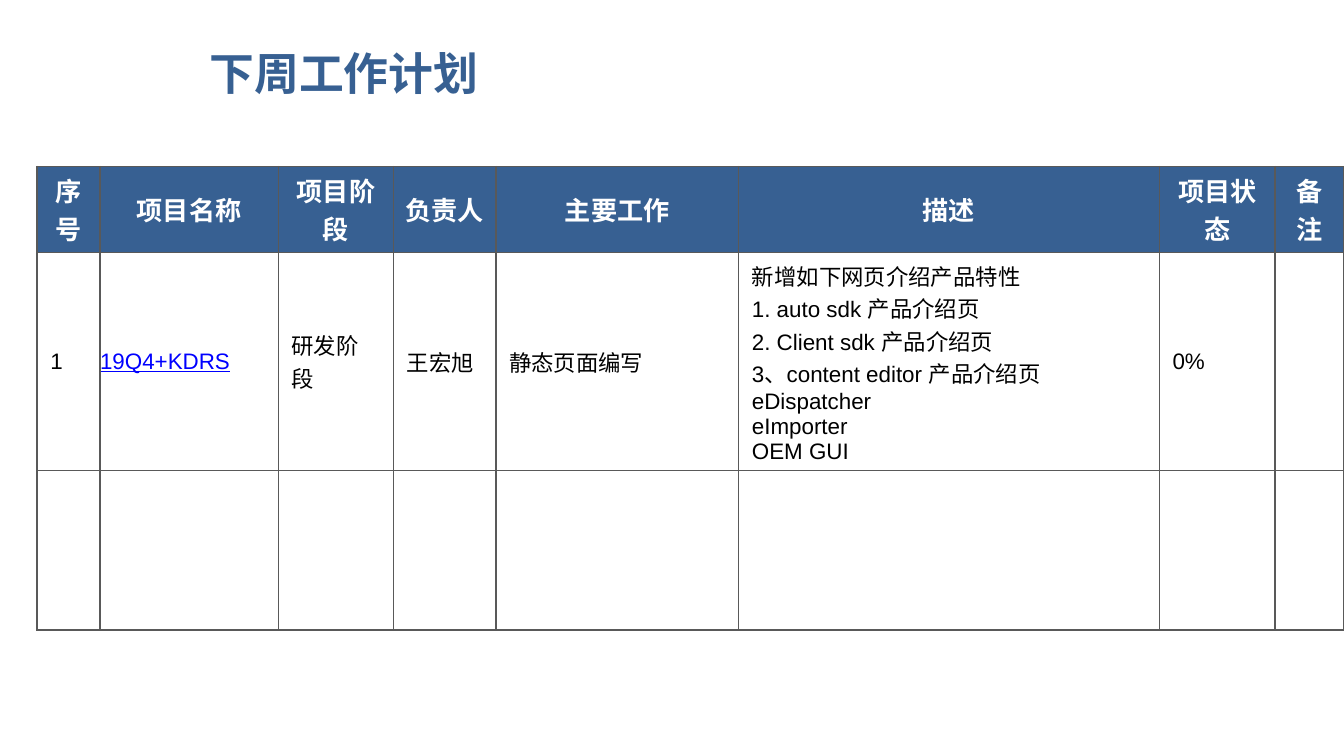
"""Build the weekly work plan slide with its project table."""
import pptx
import pptx.dml.color
import pptx.enum.text
import pptx.oxml.ns
import pptx.util
from lxml import etree

Cm = pptx.util.Cm
Pt = pptx.util.Pt
RGB = pptx.dml.color.RGBColor.from_string
ANCHOR = pptx.enum.text.MSO_ANCHOR
ALIGN = pptx.enum.text.PP_ALIGN
qn = pptx.oxml.ns.qn

THEME = {
    "blue": "376092", "white": "FFFFFF", "black": "000000",
    "link": "0000FF", "border": "595959",
    "latin": "Arial", "cjk": "Noto Sans CJK SC",
    "title": 24, "header": 14, "body": 12, "line": 1,
}

TITLE = "下周工作计划"
COLUMNS = [
    ("序号", 1.19), ("项目名称", 3.37), ("项目阶段", 2.18), ("负责人", 1.93),
    ("主要工作", 4.59), ("描述", 7.95), ("项目状态", 2.19), ("备注", 1.3),
]
DESCRIPTION = [
    "新增如下网页介绍产品特性",
    "1. auto sdk 产品介绍页",
    "2. Client sdk 产品介绍页",
    "3、content editor 产品介绍页",
    "eDispatcher",
    "eImporter",
    "OEM GUI",
]
PROJECTS = [
    [["1"], ["19Q4+KDRS"], ["研发阶段"], ["王宏旭"], ["静态页面编写"], DESCRIPTION, ["0%"], []],
    [[] for _ in COLUMNS],
]
ROW_HEIGHTS = [1.62, 4.12, 3.02]
TABLE_LEFT, TABLE_TOP = 0.7, 3.15
NAME_COLUMN = 1
HEADER_INSETS, BODY_INSETS, NAME_INSETS = (0.18, 0.08), (0.25, 0.13), (0, 0)


def add_lines(tf, lines, size, color, latin, bold=False, underline=False, align=ALIGN.LEFT):
    for i, line in enumerate(lines):
        p = tf.paragraphs[0] if i == 0 else tf.add_paragraph()
        p.alignment = align
        r = p.add_run()
        r.text = line
        r.font.size = Pt(size)
        r.font.name = latin
        r.font.bold = bold
        r.font.underline = underline
        r.font.color.rgb = RGB(color)
        ea = etree.SubElement(r.font._element, qn("a:ea"))
        ea.set("typeface", THEME["cjk"])


def add_borders(cell):
    tc_pr = cell._tc.get_or_add_tcPr()
    for side in ("lnL", "lnR", "lnT", "lnB"):
        ln = etree.SubElement(tc_pr, qn(f"a:{side}"), w=str(Pt(THEME["line"])))
        fill = etree.SubElement(ln, qn("a:solidFill"))
        etree.SubElement(fill, qn("a:srgbClr"), val=THEME["border"])


def set_insets(cell, insets):
    cell.margin_left = cell.margin_right = Cm(insets[0])
    cell.margin_top = cell.margin_bottom = Cm(insets[1])


def add_title(s):
    sp = s.shapes.add_textbox(Cm(3.71), Cm(0.58), Cm(20.4), Cm(1.57))
    tf = sp.text_frame
    tf.word_wrap = True
    tf.vertical_anchor = ANCHOR.MIDDLE
    add_lines(tf, [TITLE], THEME["title"], THEME["blue"], THEME["cjk"], bold=True)


def add_plan(s):
    widths = [width for _, width in COLUMNS]
    rows = [[[name] for name, _ in COLUMNS]] + PROJECTS
    table = s.shapes.add_table(
        len(rows), len(widths), Cm(TABLE_LEFT), Cm(TABLE_TOP),
        Cm(sum(widths)), Cm(sum(ROW_HEIGHTS))).table
    for column, width in zip(table.columns, widths):
        column.width = Cm(width)
    for i, (lines_by_column, height) in enumerate(zip(rows, ROW_HEIGHTS)):
        table.rows[i].height = Cm(height)
        for j, lines in enumerate(lines_by_column):
            cell = table.cell(i, j)
            cell.vertical_anchor = ANCHOR.MIDDLE
            add_borders(cell)
            if i == 0:
                set_insets(cell, HEADER_INSETS)
                cell.fill.solid()
                cell.fill.fore_color.rgb = RGB(THEME["blue"])
                add_lines(cell.text_frame, lines, THEME["header"], THEME["white"],
                          THEME["latin"], bold=True, align=ALIGN.CENTER)
            else:
                is_name = j == NAME_COLUMN
                set_insets(cell, NAME_INSETS if is_name else BODY_INSETS)
                cell.fill.background()
                add_lines(cell.text_frame, lines, THEME["body"],
                          THEME["link" if is_name else "black"],
                          THEME["latin"], underline=is_name)


def main():
    prs = pptx.Presentation()
    prs.slide_width, prs.slide_height = Cm(25.4), Cm(14.29)
    s = prs.slides.add_slide(prs.slide_layouts[6])
    add_title(s)
    add_plan(s)
    prs.save("out.pptx")


if __name__ == "__main__":
    main()
